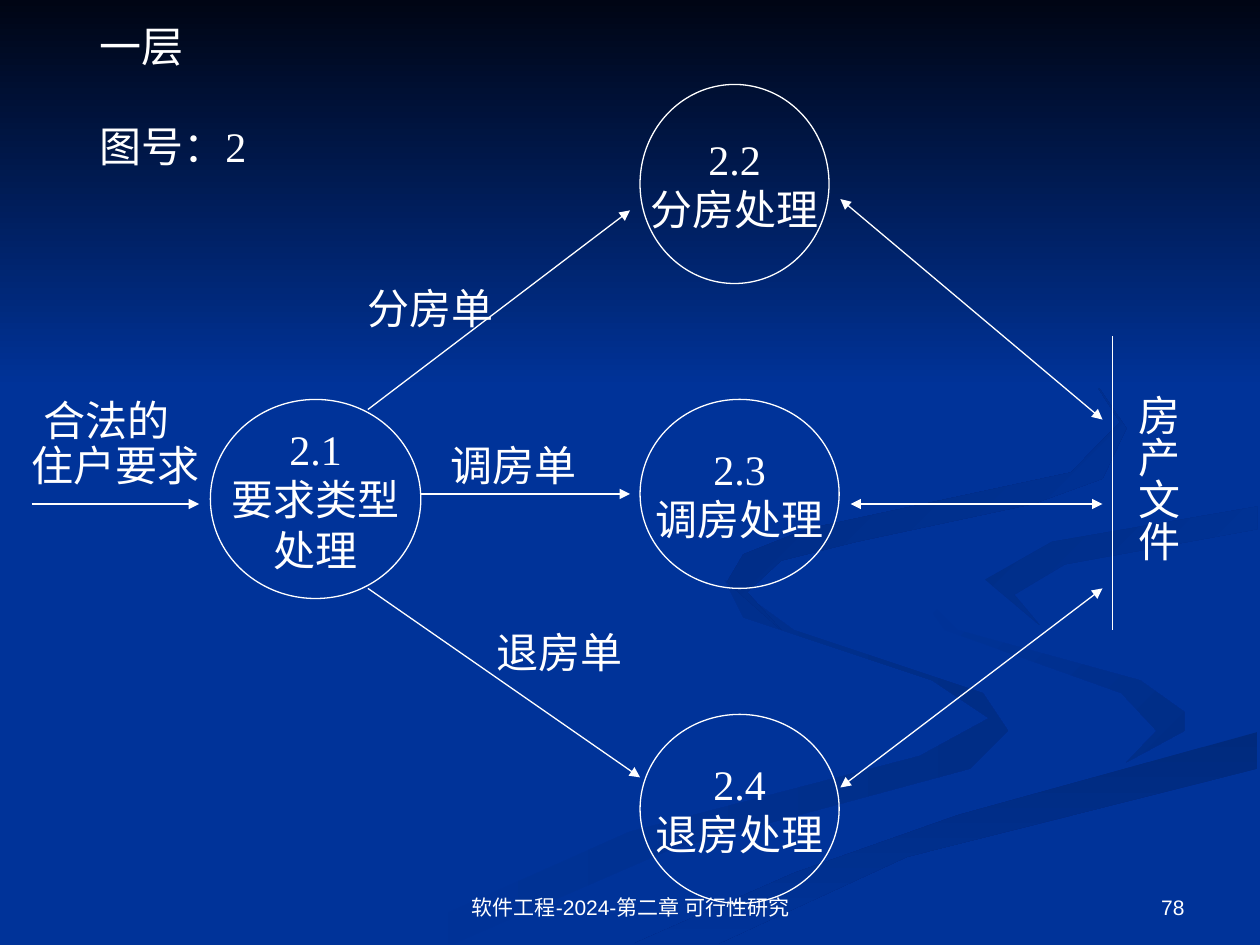
"""Builds a data-flow diagram slide for the housing allocation process."""
from typing import NamedTuple, Optional

from lxml.etree import SubElement
from pptx import Presentation
from pptx.dml.color import RGBColor
from pptx.enum.shapes import MSO_CONNECTOR as Connector, MSO_SHAPE as Shape
from pptx.enum.text import MSO_ANCHOR as Anchor, MSO_AUTO_SIZE as AutoSize, PP_ALIGN as Align
from pptx.oxml.ns import qn
from pptx.util import Inches, Pt

WHITE = RGBColor(0xFF, 0xFF, 0xFF)
BLUE = RGBColor(0x00, 0x33, 0x99)
NIGHT = RGBColor(0x00, 0x05, 0x14)
SHADE = RGBColor(0x00, 0x2D, 0x86)
SHADE_DEEP = RGBColor(0x00, 0x2A, 0x7D)
SERIF = "Times New Roman"
SANS = "Arial"
LINE_WIDTH = Pt(0.75)
LABEL_HEIGHT = 0.5


class Ribbon(NamedTuple):
    points: list[tuple[float, float]]
    start: RGBColor
    end: RGBColor
    angle: int


class Process(NamedTuple):
    lines: list[str]
    left: float
    top: float
    width: float
    height: float


class Flow(NamedTuple):
    begin: tuple[float, float]
    end: tuple[float, float]
    head: bool = False
    tail: bool = True


class Label(NamedTuple):
    lines: list[str]
    left: float
    top: float
    width: float
    height: float = LABEL_HEIGHT
    gap: float = 0
    direction: Optional[str] = None


class Footer(NamedTuple):
    text: str
    left: float
    width: float
    align: Align


RIBBONS = [
    Ribbon([(7.8, 5.5), (6.3, 5), (5.75, 4.6), (5.9, 4.9), (7.4, 5.4), (7.85, 5.7), (7.3, 6),
            (5, 6.6), (3, 7.49), (3.6, 7.49), (5.3, 6.75), (7.7, 6.1), (8, 5.8)],
           BLUE, SHADE, 0),
    Ribbon([(9.4, 5.65), (9.05, 5.4), (7.6, 5), (7.24, 4.64), (7.5, 5), (8.9, 5.5),
            (9.18, 5.8), (8.94, 6.05), (9.4, 5.8)], BLUE, SHADE, 45),
    Ribbon([(5.03, 7.49), (5.7, 7.49), (7.2, 6.8), (9.98, 6.1), (9.98, 5.81), (7.6, 6.47),
            (6.3, 6.93)], SHADE_DEEP, BLUE, 90),
    Ribbon([(7.82, 4.6), (8.25, 4.96), (8.05, 4.72), (8.45, 4.48), (9.98, 4.2),
            (9.98, 4.02), (8.35, 4.3)], SHADE, BLUE, 45),
    Ribbon([(6.8, 4.3), (8.2, 4), (8.75, 3.8), (8.94, 3.4), (8.6, 2.9), (7.62, 2.33),
            (8.6, 2.9), (8.89, 3.35), (8.5, 3.75), (6.4, 4.2), (5.9, 4.4), (5.77, 4.62),
            (6.2, 5), (5.93, 4.7), (6.2, 4.45)], SHADE_DEEP, BLUE, 45),
    Ribbon([(0, 0), (10, 0), (10, 3.08), (0, 3.08)], NIGHT, BLUE, 90),
]
PROCESSES = [
    Process(["2.1", "要求类型", "处理"], 1.67, 3.17, 1.67, 1.58),
    Process(["2.4", "退房处理"], 5.08, 5.67, 1.58, 1.5),
    Process(["2.3", "调房处理"], 5.08, 3.17, 1.58, 1.5),
    Process(["2.2", "分房处理"], 5.08, 0.67, 1.5, 1.58),
]
FLOWS = [
    Flow((8.83, 2.67), (8.83, 5), tail=False),
    Flow((0.25, 4), (1.58, 4)),
    Flow((2.92, 3.25), (5, 1.67)),
    Flow((3.33, 3.92), (5, 3.92)),
    Flow((2.92, 4.67), (5.08, 6.17)),
    Flow((6.67, 1.58), (8.75, 3.33), head=True),
    Flow((6.75, 4), (8.75, 4), head=True),
    Flow((6.67, 6.25), (8.75, 4.67), head=True),
]
LABELS = [
    Label(["房产文件"], 8.84, 3.03, 0.6, 1.44, direction="eaVert"),
    Label(["住户要求"], 0.15, 3.44, 1.53),
    Label(["合法的"], 0.25, 3.08, 1.2),
    Label(["分房单"], 2.82, 2.19, 1.2),
    Label(["调房单"], 3.48, 3.44, 1.2),
    Label(["退房单"], 3.84, 4.92, 1.2),
    Label(["一层", "图号：2"], 0.69, 0.11, 1.44, 1.3, gap=28.8),
]
FOOTERS = [
    Footer("软件工程-2024-第二章 可行性研究", 3.42, 3.17, Align.CENTER),
    Footer("78", 7.17, 2.33, Align.RIGHT),
]


def write_text(frame, lines: list[str], *, font: str = SERIF, size: float = 24,
               align: Align = Align.LEFT, anchor: Anchor = Anchor.TOP,
               wrap: bool = False, gap: float = 0) -> None:
    frame.word_wrap = wrap
    frame.vertical_anchor = anchor
    for index, line in enumerate(lines):
        paragraph = frame.add_paragraph() if index else frame.paragraphs[0]
        paragraph.alignment = align
        if index and gap:
            paragraph.space_before = Pt(gap)
        run = paragraph.add_run()
        run.text = line
        run.font.name = font
        run.font.size = Pt(size)
        run.font.color.rgb = WHITE


def draw_ribbon(slide, ribbon: Ribbon) -> None:
    first, *rest = [(Inches(x), Inches(y)) for x, y in ribbon.points]
    builder = slide.shapes.build_freeform(*first)
    builder.add_line_segments(rest, close=True)
    shape = builder.convert_to_shape()
    shape.shadow.inherit = False
    shape.line.fill.background()
    shape.fill.gradient()
    shape.fill.gradient_angle = -ribbon.angle % 360
    for stop, color in zip(shape.fill.gradient_stops, (ribbon.start, ribbon.end)):
        stop.color.rgb = color


def draw_process(slide, process: Process) -> None:
    box = map(Inches, process[1:])
    shape = slide.shapes.add_shape(Shape.OVAL, *box)
    shape.shadow.inherit = False
    shape.fill.background()
    shape.line.color.rgb = WHITE
    shape.line.width = LINE_WIDTH
    write_text(shape.text_frame, process.lines, align=Align.CENTER, anchor=Anchor.MIDDLE)


def draw_flow(slide, flow: Flow) -> None:
    ends = map(Inches, flow.begin + flow.end)
    connector = slide.shapes.add_connector(Connector.STRAIGHT, *ends)
    connector.line.color.rgb = WHITE
    connector.line.width = LINE_WIDTH
    properties = connector.line._get_or_add_ln()
    for tag, shown in (("a:headEnd", flow.head), ("a:tailEnd", flow.tail)):
        if shown:
            SubElement(properties, qn(tag), type="triangle")
    SubElement(connector._element.spPr, qn("a:effectLst"))


def draw_label(slide, label: Label) -> None:
    box = map(Inches, (label.left, label.top, label.width, label.height))
    frame = slide.shapes.add_textbox(*box).text_frame
    write_text(frame, label.lines, gap=label.gap)
    frame.auto_size = AutoSize.SHAPE_TO_FIT_TEXT
    if label.direction:
        frame._txBody.bodyPr.set("vert", label.direction)
        frame.margin_left = frame.margin_right = Inches(0.05)
        frame.margin_top = frame.margin_bottom = Inches(0.1)


def draw_footer(slide, footer: Footer) -> None:
    box = map(Inches, (footer.left, 6.83, footer.width, 0.52))
    frame = slide.shapes.add_textbox(*box).text_frame
    write_text(frame, [footer.text], font=SANS, size=12, align=footer.align,
               anchor=Anchor.BOTTOM, wrap=True)


def main() -> None:
    presentation = Presentation()
    presentation.slide_width, presentation.slide_height = Inches(10), Inches(7.5)
    slide = presentation.slides.add_slide(presentation.slide_layouts[6])
    slide.background.fill.solid()
    slide.background.fill.fore_color.rgb = BLUE
    for draw, items in ((draw_ribbon, RIBBONS), (draw_process, PROCESSES), (draw_flow, FLOWS),
                        (draw_label, LABELS), (draw_footer, FOOTERS)):
        for item in items:
            draw(slide, item)
    presentation.save("out.pptx")


if __name__ == "__main__":
    main()
